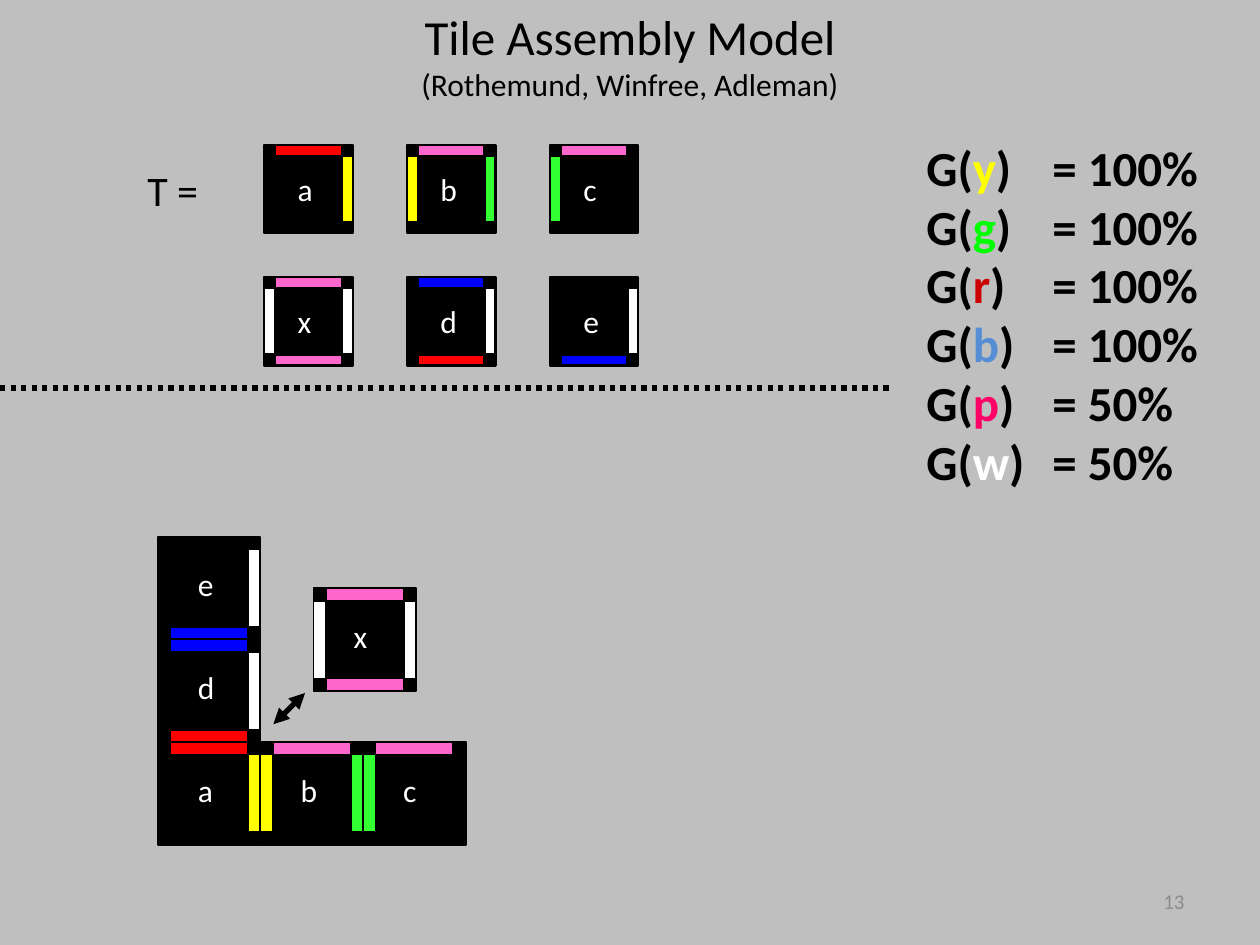
from lxml.etree import SubElement
from pptx import Presentation
from pptx.dml.color import RGBColor
from pptx.enum.dml import MSO_LINE
from pptx.enum.shapes import MSO_CONNECTOR, MSO_SHAPE
from pptx.enum.text import MSO_ANCHOR as Anchor, MSO_AUTO_SIZE as AutoSize, PP_ALIGN as Align
from pptx.oxml.ns import qn
from pptx.util import Cm, Pt

FONT = "Calibri"
BLACK = RGBColor(0x00, 0x00, 0x00)
WHITE = RGBColor(0xFF, 0xFF, 0xFF)
GREY = RGBColor(0xBF, 0xBF, 0xBF)
NUMBER_GREY = RGBColor(0x8C, 0x8C, 0x8C)
RED = RGBColor(0xFF, 0x00, 0x00)
BLUE = RGBColor(0x00, 0x00, 0xFF)
YELLOW = RGBColor(0xFF, 0xFF, 0x00)
GREEN = RGBColor(0x33, 0xFF, 0x33)
PINK = RGBColor(0xFF, 0x66, 0xCC)

# Glue on the north, east, south and west side of each tile
TILES = {
    "a": (RED, YELLOW, None, None),
    "b": (PINK, GREEN, None, YELLOW),
    "c": (PINK, None, None, GREEN),
    "x": (PINK, WHITE, PINK, WHITE),
    "d": (BLUE, WHITE, RED, None),
    "e": (None, WHITE, BLUE, None),
}

# Glue name, its colour and its strength
GLUES = [
    ("y", YELLOW, "100%"),
    ("g", RGBColor(0x00, 0xFF, 0x00), "100%"),
    ("r", RGBColor(0xCC, 0x00, 0x00), "100%"),
    ("b", RGBColor(0x55, 0x8E, 0xD5), "100%"),
    ("p", RGBColor(0xFF, 0x00, 0x66), "50%"),
    ("w", WHITE, "50%"),
]


def add_run(p, text, size, color=BLACK, bold=False):
    r = p.add_run()
    r.text = text
    r.font.name = FONT
    r.font.size = Pt(size)
    r.font.bold = bold
    r.font.color.rgb = color


def place(sp, x, y, w, h):
    sp.left, sp.top, sp.width, sp.height = Cm(x), Cm(y), Cm(w), Cm(h)


def add_text(shapes, x, y, w, h, text, size, color=BLACK, align=Align.LEFT,
             wrap=False, anchor=Anchor.TOP, inset=True):
    tf = shapes.add_textbox(Cm(x), Cm(y), Cm(w), Cm(h)).text_frame
    tf.word_wrap = wrap
    tf.vertical_anchor = anchor
    if not inset:
        tf.margin_left = tf.margin_right = tf.margin_top = tf.margin_bottom = 0
    p = tf.paragraphs[0]
    p.alignment = align
    add_run(p, text, size, color)


def add_rect(shapes, x, y, w, h, fill, line_width):
    sp = shapes.add_shape(MSO_SHAPE.RECTANGLE, Cm(x), Cm(y), Cm(w), Cm(h))
    sp.shadow.inherit = False
    sp.fill.solid()
    sp.fill.fore_color.rgb = fill
    sp.line.color.rgb = BLACK
    sp.line.width = Pt(line_width)


def add_tile(shapes, name, x, y, size, bar, line_width, label_at):
    add_rect(shapes, x, y, size, size, BLACK, line_width)
    length, far = size - 2 * bar, size - bar
    sides = [(bar, 0, length, bar), (far, bar, bar, length),
             (bar, far, length, bar), (0, bar, bar, length)]
    for color, (dx, dy, w, h) in zip(TILES[name], sides):
        if color is not None:
            add_rect(shapes, x + dx, y + dy, w, h, color, line_width)
    dx, dy = label_at
    add_text(shapes, x + dx, y + dy, 0.38, 0.8, name, 18, WHITE, inset=False)


def add_line(shapes, x1, y1, x2, y2):
    line = shapes.add_connector(MSO_CONNECTOR.STRAIGHT, Cm(x1), Cm(y1), Cm(x2), Cm(y2))
    line.line.color.rgb = BLACK
    line.line.width = Pt(3)
    SubElement(line._element.spPr, qn("a:effectLst"))
    return line


def add_arrowheads(line):
    ln = line.line._get_or_add_ln()
    for end in ("a:headEnd", "a:tailEnd"):
        SubElement(ln, qn(end), type="triangle")


def fill_title(sp):
    place(sp, 0, 0, 25.4, 3.48)
    tf = sp.text_frame
    tf.auto_size = AutoSize.NONE
    tf.vertical_anchor = Anchor.TOP
    lines = [("Tile Assembly Model", 28), ("(Rothemund, Winfree, Adleman)", 18)]
    for i, (text, size) in enumerate(lines):
        p = tf.add_paragraph() if i else tf.paragraphs[0]
        p.alignment = Align.CENTER
        add_run(p, text, size)


def fill_glue_list(sp):
    place(sp, 18.42, 2.64, 6.98, 7.44)
    tf = sp.text_frame
    tf.auto_size = AutoSize.NONE
    for i, (glue, color, strength) in enumerate(GLUES):
        p = tf.add_paragraph() if i else tf.paragraphs[0]
        p.space_before = Pt(0)
        # No bullet, and a tab stop that lines up the equals signs
        pPr = p._p.get_or_add_pPr()
        pPr.set("marL", "0")
        pPr.set("indent", "0")
        SubElement(pPr, qn("a:buNone"))
        tabs = SubElement(pPr, qn("a:tabLst"))
        SubElement(tabs, qn("a:tab"), pos=str(Cm(2.41)), algn="l")
        add_run(p, "G(", 28, bold=True)
        add_run(p, glue, 28, color, bold=True)
        add_run(p, f")\t= {strength}", 28, bold=True)


def main():
    prs = Presentation()
    prs.slide_width, prs.slide_height = Cm(25.4), Cm(19.05)
    s = prs.slides.add_slide(prs.slide_layouts[1])
    s.background.fill.solid()
    s.background.fill.fore_color.rgb = GREY

    # Title, glue strengths and slide number
    fill_title(s.shapes.title)
    fill_glue_list(s.placeholders[1])
    add_text(s.shapes, 18.21, 17.65, 5.92, 1.02, "13", 12, NUMBER_GREY,
             Align.RIGHT, wrap=True, anchor=Anchor.MIDDLE)

    # Tile set
    add_text(s.shapes, 2.72, 3.2, 2.24, 1.27, "T =", 24)
    for row, names in enumerate(["abc", "xde"]):
        for col, name in enumerate(names):
            group = s.shapes.add_group_shape()
            add_tile(group.shapes, name, 5.33 + 2.88 * col, 2.92 + 2.67 * row,
                     1.78, 0.22, 1.25, (0.67, 0.5))
    add_line(s.shapes, 0, 7.82, 17.98, 7.82).line.dash_style = MSO_LINE.ROUND_DOT

    # Assembly, as steps right of and above the corner tile
    size = 2.07
    large = (size, 0.25, 1, (0.81, 0.58))
    for name, right, up in [("a", 0, 0), ("d", 0, 1), ("b", 1, 0), ("c", 2, 0), ("e", 0, 2)]:
        add_tile(s.shapes, name, 3.18 + size * right, 14.96 - size * up, *large)

    # Tile about to attach
    add_tile(s.shapes, "x", 6.32, 11.86, *large)
    add_arrowheads(add_line(s.shapes, 6.15, 13.97, 5.51, 14.6))

    prs.save("out.pptx")


if __name__ == "__main__":
    main()
